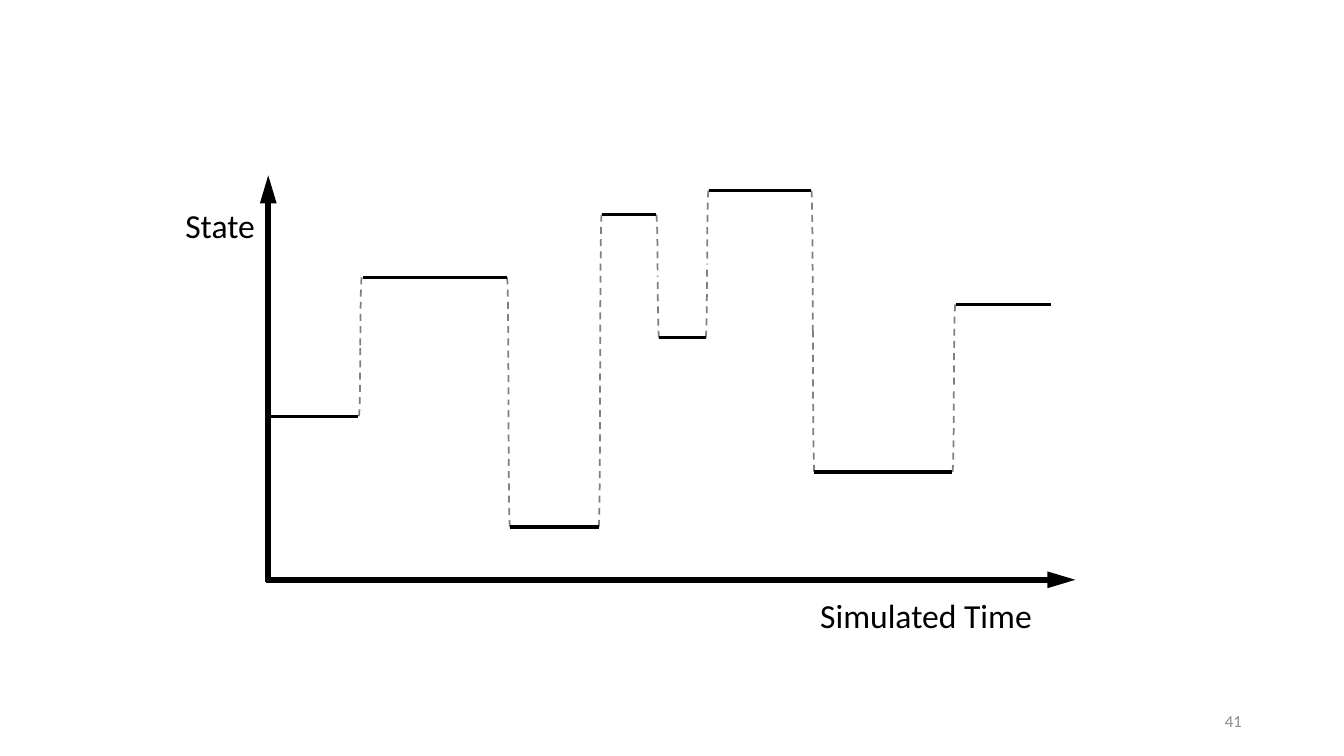
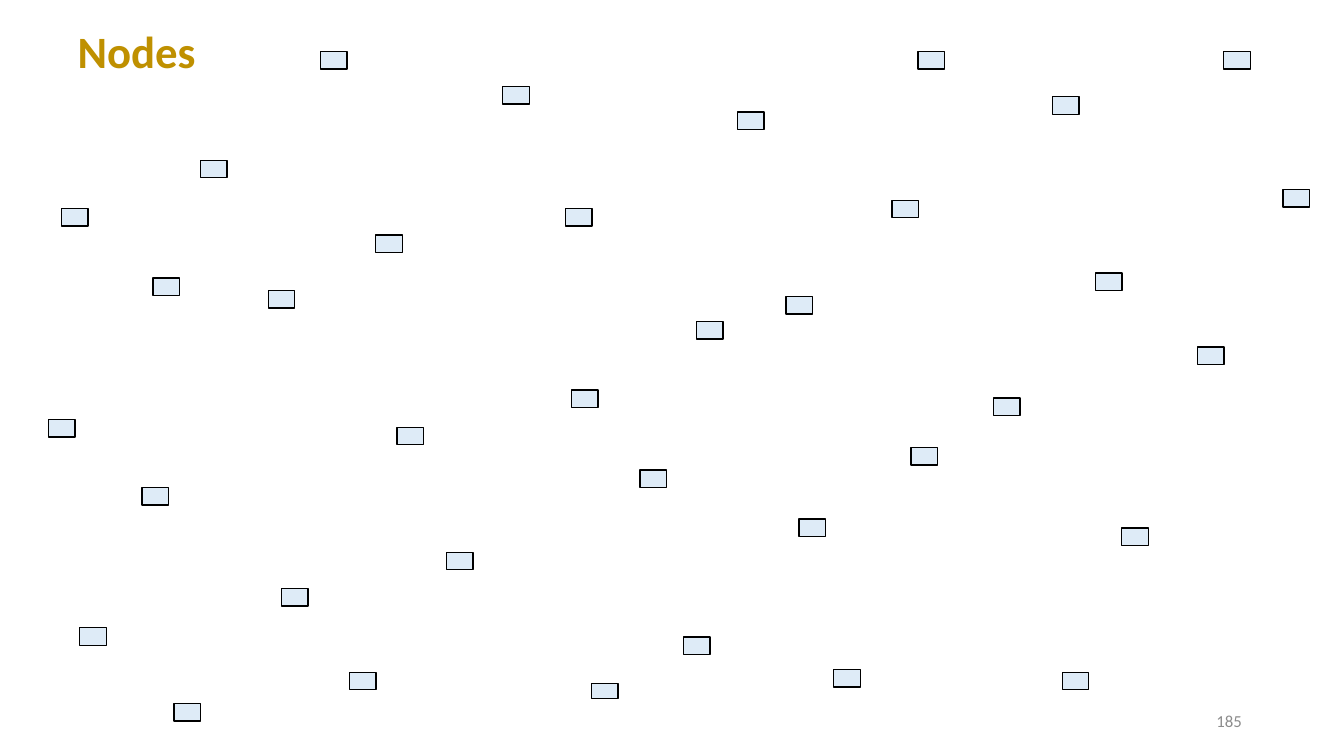
import pptx
import pptx.dml.color
import pptx.enum.dml
import pptx.enum.shapes
import pptx.enum.text
import pptx.oxml
import pptx.oxml.ns
import pptx.util
from dataclasses import dataclass
from itertools import pairwise

Cm, Pt = pptx.util.Cm, pptx.util.Pt
SHAPE = pptx.enum.shapes.MSO_SHAPE
ALIGN = pptx.enum.text.PP_ALIGN
ANCHOR = pptx.enum.text.MSO_ANCHOR
AUTO = pptx.enum.text.MSO_AUTO_SIZE


@dataclass(frozen=True)
class Theme:
    font: str = "Calibri"
    ink: str = "000000"
    title: str = "BF9000"
    muted: str = "8C8C8C"
    jump: str = "808080"
    node: str = "DEEBF7"
    title_size: float = 32
    label_size: float = 24
    page_size: float = 12
    axis_width: float = 4
    level_width: float = 2.5
    jump_width: float = 1.25
    node_width: float = 1


THEME = Theme()


def rgb(value):
    return pptx.dml.color.RGBColor.from_string(value)


def write(tf, text, size, color=THEME.ink, bold=False, align=ALIGN.LEFT,
          anchor=ANCHOR.TOP, wrap=True, auto_size=AUTO.NONE, spacing=None):
    """Put one formatted paragraph into a text frame."""
    tf.word_wrap, tf.auto_size, tf.vertical_anchor = wrap, auto_size, anchor
    p = tf.paragraphs[0]
    p.alignment, p.line_spacing = align, spacing
    r = p.add_run()
    r.text = text
    r.font.name, r.font.size, r.font.bold = THEME.font, Pt(size), bold
    r.font.color.rgb = rgb(color)


class Deck:
    """Holds the presentation, its style and the current slide."""

    def __init__(self):
        self.prs = pptx.Presentation()
        self.prs.slide_width, self.prs.slide_height = Cm(33.87), Cm(19.05)
        self.s = None

    def slide(self, page, title=None):
        layout = self.prs.slide_layouts[5 if title else 6]
        self.s = self.prs.slides.add_slide(layout)
        if title:
            sp = self.s.shapes.title
            sp.left, sp.top, sp.width, sp.height = map(Cm, (1.7, 0.43, 6.15, 1.88))
            write(sp.text_frame, title, THEME.title_size, color=THEME.title,
                  bold=True, anchor=ANCHOR.MIDDLE, spacing=0.9)
        self.text(page, 23.93, 17.65, 7.62, 1.02, size=THEME.page_size,
                  color=THEME.muted, align=ALIGN.RIGHT, anchor=ANCHOR.MIDDLE)

    def text(self, text, x, y, w, h, size=THEME.label_size, **fmt):
        sp = self.s.shapes.add_textbox(Cm(x), Cm(y), Cm(w), Cm(h))
        write(sp.text_frame, text, size, **fmt)

    def label(self, text, x, y, w):
        self.text(text, x, y, w, 1.27, wrap=False,
                  auto_size=AUTO.SHAPE_TO_FIT_TEXT)

    def line(self, x1, y1, x2, y2, width, arrow=False):
        sp = self.s.shapes.add_connector(
            pptx.enum.shapes.MSO_CONNECTOR.STRAIGHT,
            Cm(x1), Cm(y1), Cm(x2), Cm(y2))
        sp.line.color.rgb, sp.line.width = rgb(THEME.ink), Pt(width)
        if arrow:
            sp.line._get_or_add_ln().append(pptx.oxml.parse_xml(
                f'<a:tailEnd {pptx.oxml.ns.nsdecls("a")} '
                'type="triangle" w="med" len="lg"/>'))
        sp._element.spPr.append(pptx.oxml.parse_xml(
            f'<a:effectLst {pptx.oxml.ns.nsdecls("a")}/>'))

    def jump(self, x, y1, y2, width=0.07):
        """Join two levels at x with an S-curve made of two quarter arcs."""
        group = self.s.shapes.add_group_shape()
        for left, turn in ((x - width, 0), (x, 180)):
            sp = group.shapes.add_shape(SHAPE.ARC, Cm(left), Cm(min(y1, y2)),
                                        Cm(width), Cm(abs(y2 - y1)))
            sp.shadow.inherit = False
            sp.fill.background()
            sp.line.color.rgb = rgb(THEME.jump)
            sp.line.width = Pt(THEME.jump_width)
            sp.line.dash_style = pptx.enum.dml.MSO_LINE.DASH
            sp.rotation = turn
            if y2 < y1:
                sp._element.spPr.xfrm.set("flipV", "1")

    def node(self, x, y, h=0.44):
        sp = self.s.shapes.add_shape(SHAPE.RECTANGLE, Cm(x), Cm(y), Cm(0.67), Cm(h))
        sp.shadow.inherit = False
        sp.fill.solid()
        sp.fill.fore_color.rgb = rgb(THEME.node)
        sp.line.color.rgb, sp.line.width = rgb(THEME.ink), Pt(THEME.node_width)


# Each level: start x, end x, height on the slide
LEVELS = [
    (6.71, 9.02, 10.49), (9.14, 12.78, 6.99), (12.85, 15.09, 13.28),
    (15.16, 16.54, 5.41), (16.61, 17.78, 8.51), (17.86, 20.45, 4.8),
    (20.52, 24, 11.89), (24.08, 26.49, 7.67),
]

# Scattered nodes: left, top
NODES = [
    (28.27, 13.31), (22.48, 5.05), (3.58, 12.29), (8.81, 16.94),
    (14.4, 9.83), (12.67, 2.18), (30.84, 1.3), (5.05, 4.04),
    (17.22, 16.05), (22.96, 11.28), (27.61, 6.88), (2.01, 15.82),
    (11.25, 13.92), (17.55, 8.1), (8.08, 1.3), (26.52, 2.44),
    (6.76, 7.32), (21.01, 16.87), (26.77, 16.94), (18.59, 2.82),
    (1.22, 10.57), (7.09, 14.83), (16.13, 11.84), (14.25, 5.26),
    (32.33, 4.78), (9.47, 5.92), (25.04, 10.03), (30.18, 8.74),
    (4.39, 17.73), (10.01, 10.77), (19.81, 7.47), (1.55, 5.26),
    (23.14, 1.3), (3.86, 7.01), (20.14, 13.08),
]


def state_slide(deck):
    deck.slide("41")
    # Axes
    deck.line(6.71, 14.61, 27.1, 14.61, THEME.axis_width, arrow=True)
    deck.line(6.76, 14.66, 6.76, 4.42, THEME.axis_width, arrow=True)
    # Jumps between neighbouring levels, then the levels
    for (_, end, y1), (start, _, y2) in pairwise(LEVELS):
        deck.jump((end + start) / 2, y1, y2)
    for start, end, y in LEVELS:
        deck.line(start, y, end, y, THEME.level_width)
    # Axis labels
    deck.label("Simulated Time", 20.42, 14.86, 5.89)
    deck.label("State", 4.42, 5.03, 2.29)


def nodes_slide(deck):
    deck.slide("185", title="Nodes")
    for x, y in NODES:
        deck.node(x, y)
    deck.node(14.91, 17.22, h=0.38)


def main():
    deck = Deck()
    state_slide(deck)
    nodes_slide(deck)
    deck.prs.save("out.pptx")


if __name__ == "__main__":
    main()
